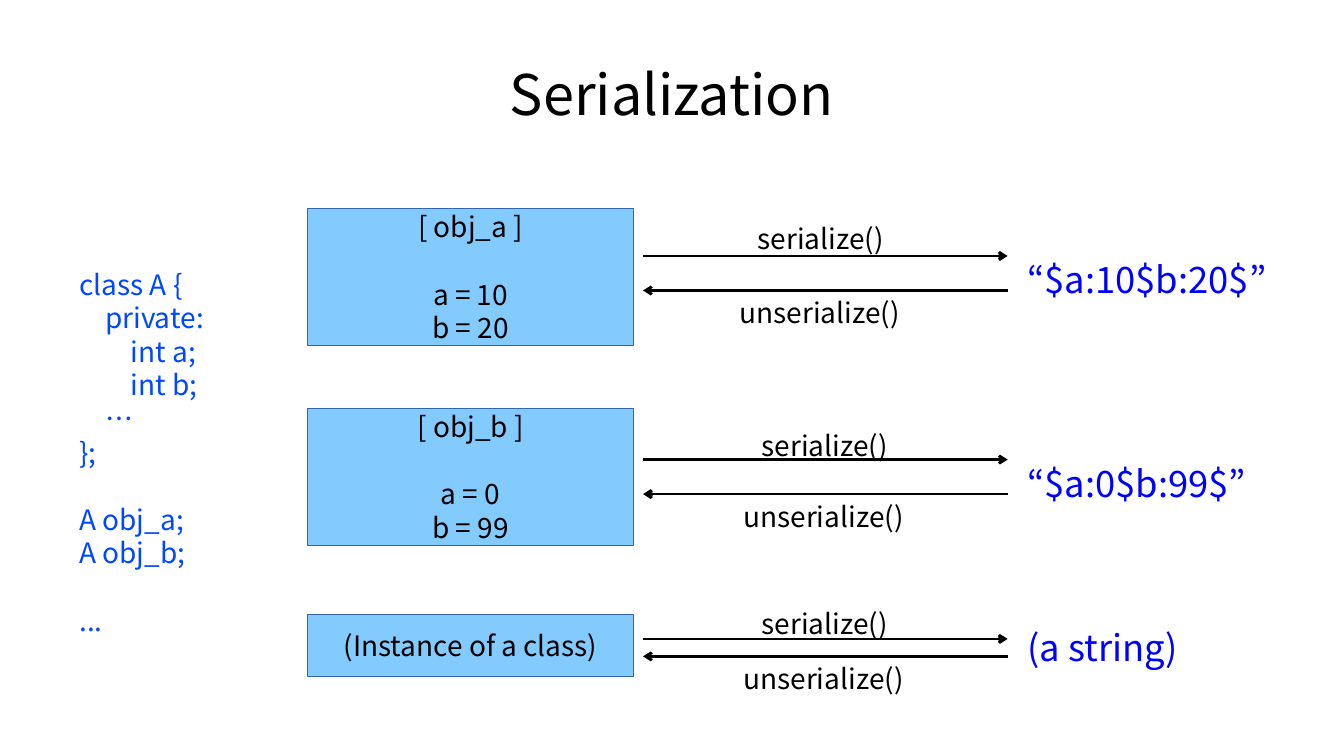
from lxml import etree
from pptx import Presentation
from pptx.dml.color import RGBColor
from pptx.enum.shapes import MSO_CONNECTOR, MSO_SHAPE
from pptx.enum.text import MSO_ANCHOR, PP_ALIGN
from pptx.oxml.ns import qn
from pptx.util import Cm, Pt

STRAIGHT = MSO_CONNECTOR.STRAIGHT
RECTANGLE = MSO_SHAPE.RECTANGLE
MIDDLE = MSO_ANCHOR.MIDDLE
TOP = MSO_ANCHOR.TOP
LEFT = PP_ALIGN.LEFT
CENTER = PP_ALIGN.CENTER

BLACK = RGBColor(0x00, 0x00, 0x00)
CODE_BLUE = RGBColor(0x00, 0x47, 0xFF)
STRING_BLUE = RGBColor(0x00, 0x00, 0xFF)
BOX_FILL = RGBColor(0x83, 0xCA, 0xFF)
BOX_LINE = RGBColor(0x34, 0x65, 0xAF)
FONT = "Noto Sans CJK KR"
INDENT = 0.65
BLANK_LINE = 24


def write(shape, lines, size=20, color=BLACK, align=LEFT, anchor=TOP, margins=(0.25, 0.13)):
    frame = shape.text_frame
    frame.word_wrap = True
    frame.vertical_anchor = anchor
    frame.margin_left = frame.margin_right = Cm(margins[0])
    frame.margin_top = frame.margin_bottom = Cm(margins[1])
    for index, (text, level, space) in enumerate(lines):
        para = frame.add_paragraph() if index else frame.paragraphs[0]
        para.alignment = align
        para.space_before = Pt(space)
        if level:
            para._p.get_or_add_pPr().set("marL", str(Cm(INDENT * level)))
        span = para.add_run()
        span.text = text
        span.font.name = FONT
        span.font.size = Pt(size)
        span.font.color.rgb = color
        etree.SubElement(span._r.get_or_add_rPr(), qn("a:ea")).set("typeface", FONT)


def add_arrow(start, end, height):
    arrow = page.shapes.add_connector(STRAIGHT, Cm(start), Cm(height), Cm(end), Cm(height))
    arrow.line.color.rgb = BLACK
    arrow.line.width = Pt(0)
    etree.SubElement(arrow.line._get_or_add_ln(), qn("a:tailEnd")).set("type", "arrow")
    etree.SubElement(arrow._element.spPr, qn("a:effectLst"))


deck = Presentation()
deck.slide_width = Cm(33.88)
deck.slide_height = Cm(19.05)
page = deck.slides.add_slide(deck.slide_layouts[5])

title = page.shapes.title
title.left, title.top, title.width, title.height = Cm(1.7), Cm(0.76), Cm(30.48), Cm(3.18)
write(title, [("Serialization", 0, 0)], size=39.9, align=CENTER, anchor=MIDDLE, margins=(0, 0))

code = page.shapes.add_textbox(Cm(1.75), Cm(6.6), Cm(4.17), Cm(9.17))
code_lines = [
    ("class A {", 0, 0),
    ("private:", 1, 0),
    ("int a;", 2, 0),
    ("int b;", 2, 0),
    ("…", 1, 0),
    ("};", 0, 0),
    ("A obj_a;", 0, BLANK_LINE),
    ("A obj_b;", 0, 0),
    ("...", 0, BLANK_LINE),
]
write(code, code_lines, color=CODE_BLUE)

rows = [
    (["[ obj_a ]", "a = 10", "b = 20"], "“$a:10$b:20$”", 5.26, 3.45, 6.45, 7.32, 5.44, 20.83, 6.35),
    (["[ obj_b ]", "a = 0", "b = 99"], "“$a:0$b:99$”", 10.29, 3.45, 11.58, 12.45, 10.67, 20.93, 11.48),
    (["(Instance of a class)"], "(a string)", 15.49, 1.55, 16.1, 16.54, 15.16, 20.93, 15.62),
]
for content, result, box_top, box_height, forth, back, label_top, label_center, result_top in rows:
    box = page.shapes.add_shape(RECTANGLE, Cm(7.75), Cm(box_top), Cm(8.23), Cm(box_height))
    box.shadow.inherit = False
    box.fill.solid()
    box.fill.fore_color.rgb = BOX_FILL
    box.line.color.rgb = BOX_LINE
    box.line.width = Pt(0)
    box_lines = [(text, 0, BLANK_LINE if index == 1 else 0) for index, text in enumerate(content)]
    write(box, box_lines, align=CENTER, anchor=MIDDLE, margins=(0.25, 0))

    add_arrow(16.21, 25.4, forth)
    add_arrow(25.4, 16.21, back)

    for name, top, width in (("serialize()", label_top, 3.96), ("unserialize()", back, 4.88)):
        label = page.shapes.add_textbox(Cm(label_center - width / 2), Cm(top), Cm(width), Cm(1.07))
        write(label, [(name, 0, 0)])

    string = page.shapes.add_textbox(Cm(25.65), Cm(result_top), Cm(8.08), Cm(1.32))
    write(string, [(result, 0, 0)], size=26, color=STRING_BLUE)

deck.save("out.pptx")
